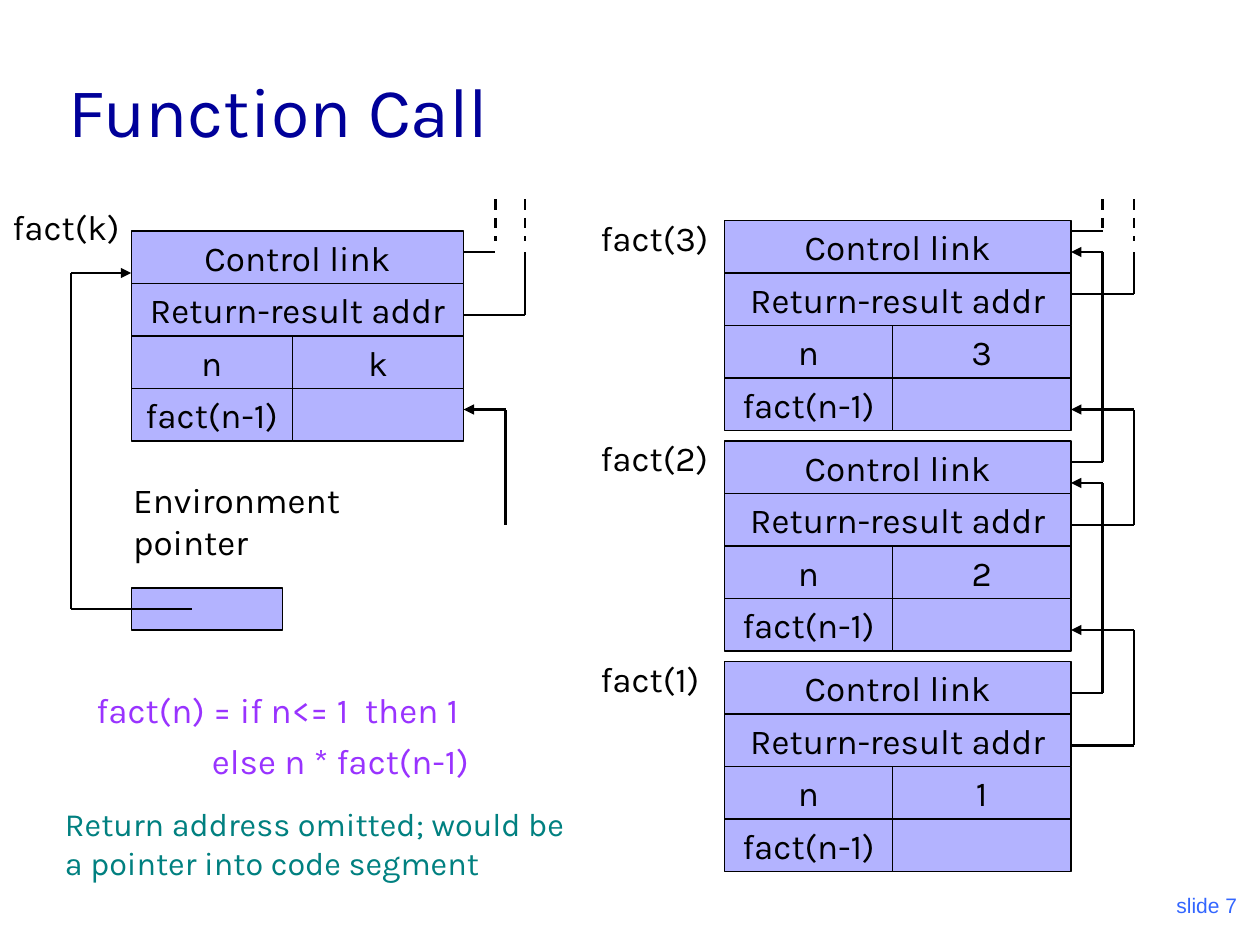
from itertools import pairwise

from lxml.etree import SubElement
from pptx import Presentation
from pptx.dml.color import RGBColor
from pptx.enum.dml import MSO_LINE
from pptx.enum.shapes import MSO_CONNECTOR, MSO_SHAPE
from pptx.enum.text import MSO_ANCHOR as Anchor, PP_ALIGN as Align
from pptx.oxml.ns import qn
from pptx.util import Pt

BLACK = RGBColor(0x00, 0x00, 0x00)
LILAC = RGBColor(0xB3, 0xB3, 0xFF)
NAVY = RGBColor(0x00, 0x00, 0x99)
TEAL = RGBColor(0x00, 0x80, 0x80)
VIOLET = RGBColor(0x99, 0x33, 0xFF)
BLUE = RGBColor(0x33, 0x66, 0xFF)

ROW = 30      # height of one row in a frame
STEP = 126    # distance between stacked frames
EDGE = 612    # right side of the stacked frames
NEAR, FAR = 630, 648  # columns of the control and result links


def write(frame, text, size=20, font="Karla", color=BLACK, align=Align.LEFT,
          anchor=Anchor.TOP, wrap=True, before=0, indents=()):
    """Fill a text frame, one paragraph for each line of text."""
    frame.word_wrap = wrap
    frame.vertical_anchor = anchor
    for i, line in enumerate(text.split("\n")):
        para = frame.add_paragraph() if i else frame.paragraphs[0]
        para.alignment = align
        para.space_before = Pt(before if i else 0)
        if indents:
            para._p.get_or_add_pPr().set("marL", str(Pt(indents[i])))
        run = para.add_run()
        run.text = line
        run.font.size = Pt(size)
        run.font.name = font
        run.font.color.rgb = color


def label(slide, text, x, y, w, h, **style):
    box = slide.shapes.add_textbox(Pt(x), Pt(y), Pt(w), Pt(h))
    write(box.text_frame, text, **style)


def cell(slide, text, x, y, w, h=ROW):
    box = slide.shapes.add_shape(MSO_SHAPE.RECTANGLE, Pt(x), Pt(y), Pt(w), Pt(h))
    box.shadow.inherit = False
    box.fill.solid()
    box.fill.fore_color.rgb = LILAC
    box.line.color.rgb = BLACK
    box.line.width = Pt(0.75)
    if text:
        write(box.text_frame, text, align=Align.CENTER, anchor=Anchor.MIDDLE,
              wrap=False)


def record(slide, value, x, y, left, right):
    """Draw an activation record whose lower rows split into two columns."""
    cell(slide, "Control link", x, y, left + right)
    cell(slide, "Return-result addr", x, y + ROW, left + right)
    for i, (name, data) in enumerate([("n", value), ("fact(n-1)", "")], 2):
        cell(slide, name, x, y + i * ROW, left)
        cell(slide, data, x + left, y + i * ROW, right)


def wire(slide, *points, tip=False, dash=False):
    """Join points with straight lines; tip puts an arrowhead at the last."""
    for start, end in pairwise(points):
        line = slide.shapes.add_connector(
            MSO_CONNECTOR.STRAIGHT, *(Pt(v) for v in start + end))
        line.line.color.rgb = BLACK
        line.line.width = Pt(1.5)
        if dash:
            line.line.dash_style = MSO_LINE.DASH
        if tip and end == points[-1]:
            SubElement(line.line._get_or_add_ln(), qn("a:tailEnd"), type="triangle")
        SubElement(line._element.spPr, qn("a:effectLst"))


def hook(slide, x, side, start, end):
    """Link two heights on one edge by way of a column at its side."""
    wire(slide, (x, start), (side, start), (side, end), (x, end), tip=True)


def leads(slide, x, near, far, link, addr, stop):
    """Draw links that fade out above a record."""
    wire(slide, (x, link), (near, link))
    wire(slide, (near, 114), (near, stop), dash=True)
    wire(slide, (x, addr), (far, addr), (far, 144))
    wire(slide, (far, 114), (far, 138), dash=True)


def stack(slide):
    for i, value in enumerate("321"):
        top = 126 + i * STEP
        record(slide, value, 414, top, 96, 102)
        label(slide, f"fact({value})", 336, top - 6, 90, 32)
    leads(slide, EDGE, NEAR, FAR, 132, 168, 132)
    for link, back in [(264, 144), (396, 276)]:
        hook(slide, EDGE, NEAR, link, back)
    for addr, back in [(300, 234), (426, 360)]:
        hook(slide, EDGE, FAR, addr, back)


def general(slide):
    """Draw the record for any k with its environment pointer."""
    record(slide, "k", 75, 132, 92, 98)
    label(slide, "fact(k)", 0, 114, 86, 32)
    label(slide, "Environment pointer", 69, 270, 144, 55)
    cell(slide, "", 75, 336, 86.5, 24)
    wire(slide, (109.5, 348), (40.5, 348), (40.5, 156), (75, 156), tip=True)
    leads(slide, 265, 283, 300, 144, 180, 138)
    wire(slide, (289, 300), (289, 234), (265, 234), tip=True)


def main():
    deck = Presentation()
    deck.slide_width, deck.slide_height = Pt(720), Pt(540)
    slide = deck.slides.add_slide(deck.slide_layouts[6])
    label(slide, "Function Call", 32, 18, 612, 72, size=40, color=NAVY,
          anchor=Anchor.BOTTOM)
    stack(slide)
    general(slide)
    label(slide, "fact(n) = if n<= 1  then 1\nelse n * fact(n-1)",
          12, 390, 336, 78, color=VIOLET, before=5, indents=(36, 102))
    label(slide, "Return address omitted; would be a pointer into code segment",
          30, 456, 300, 60, size=18.5, color=TEAL)
    label(slide, "slide 7", 564, 492, 150, 36, size=12, font="Arial",
          color=BLUE, align=Align.RIGHT, anchor=Anchor.BOTTOM)
    deck.save("out.pptx")


if __name__ == "__main__":
    main()
